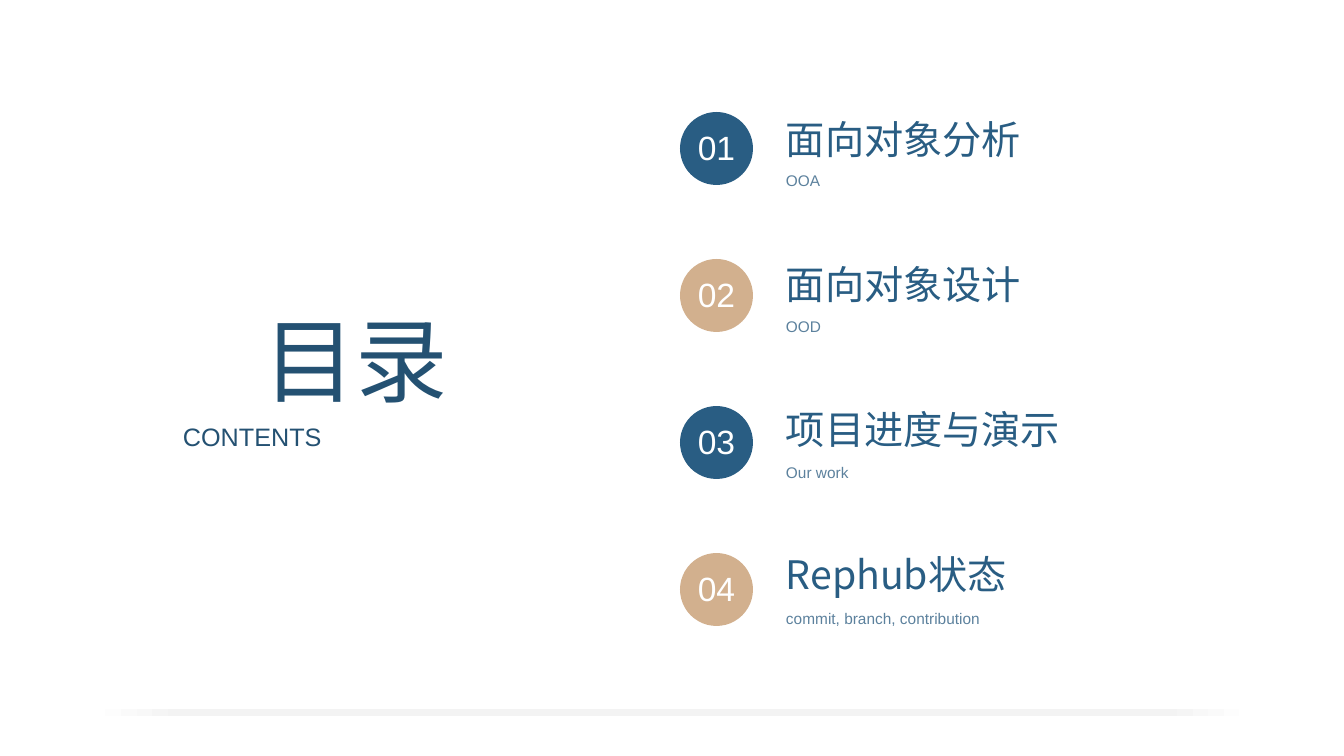
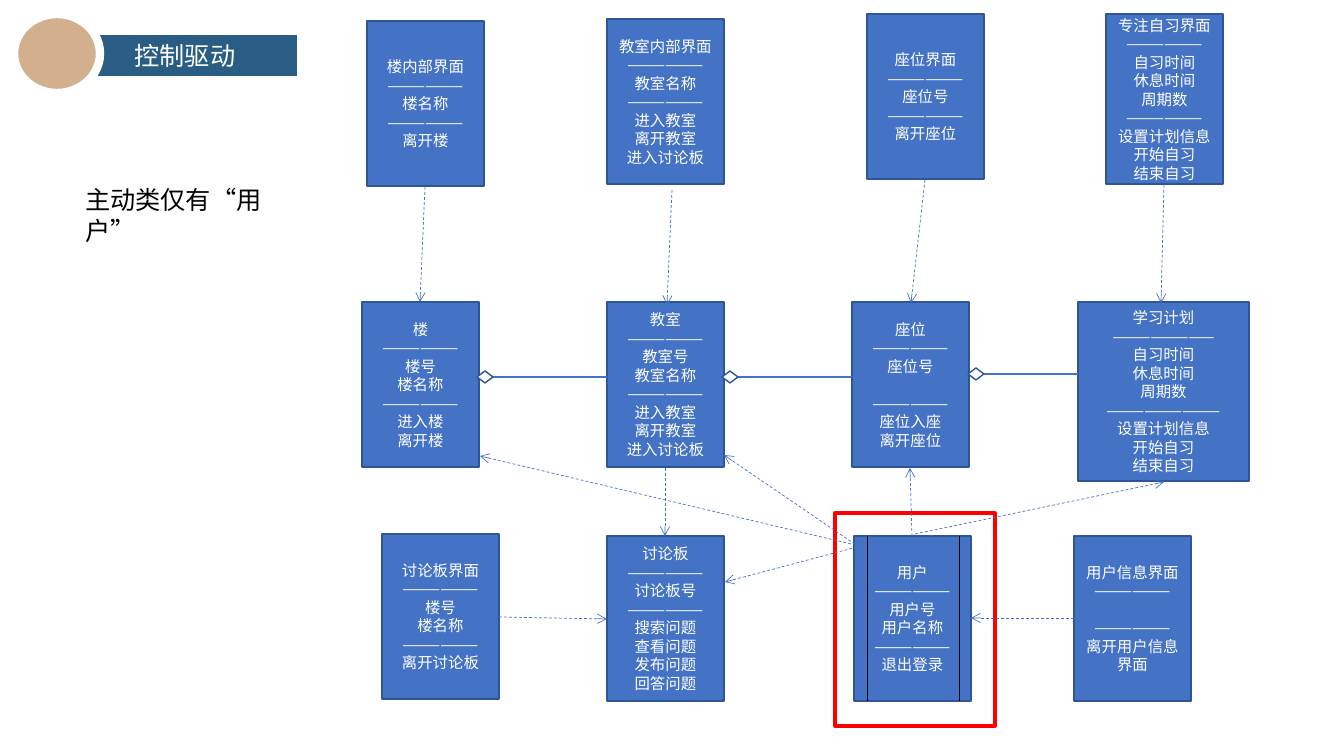
from lxml.etree import SubElement
from pptx import Presentation
from pptx.dml.color import RGBColor
from pptx.enum.dml import MSO_LINE
from pptx.enum.shapes import MSO_CONNECTOR, MSO_SHAPE
from pptx.enum.text import MSO_ANCHOR, MSO_AUTO_SIZE, PP_ALIGN
from pptx.oxml.ns import qn
from pptx.util import Emu, Pt

# Shared style
EMU_PER_PX = 914400 / 100.8
NAVY, DEEP, MUTED, SAND = "295D83", "245172", "5C819D", "D2B08E"
BLUE, EDGE, RED, BLACK, WHITE = "4472C4", "2F5597", "FF0000", "000000", "FFFFFF"
CHINESE, LATIN = "Noto Sans CJK SC", "Arial"
LEFT, CENTER = PP_ALIGN.LEFT, PP_ALIGN.CENTER
CLASS_LINE = Pt(13.2)


def px(length):
    return Emu(round(length * EMU_PER_PX))


def color(hex_text):
    return RGBColor.from_string(hex_text)


class SlideMaker:
    """Holds the deck, its style and the slide being drawn."""

    def __init__(self):
        self.deck = Presentation()
        self.deck.slide_width, self.deck.slide_height = px(1344), px(756)
        self.page = None

    def new_page(self, layout):
        self.page = self.deck.slides.add_slide(self.deck.slide_layouts[layout])

    def place(self, box, area):
        for name, value in zip(("left", "top", "width", "height"), area):
            setattr(box, name, px(value))

    def set_lines(self, box, lines, size, ink, font=CHINESE, anchor=MSO_ANCHOR.MIDDLE, **layout):
        """Set each line as a paragraph; an empty line becomes space before the next."""
        frame = box.text_frame
        settings = {"word_wrap": True, "auto_size": MSO_AUTO_SIZE.NONE, "vertical_anchor": anchor,
                    "margin_left": px(10), "margin_right": px(10),
                    "margin_top": px(5), "margin_bottom": px(5)}
        for name, value in settings.items():
            setattr(frame, name, value)
        para, gap = frame.paragraphs[0], 0
        for line in lines:
            if not line:
                gap += CLASS_LINE
                continue
            if para.runs:
                para = frame.add_paragraph()
            for name, value in {"alignment": LEFT, "space_before": Emu(gap), **layout}.items():
                setattr(para, name, value)
            gap = 0
            span = para.add_run()
            span.text = line
            for name, value in {"name": font, "size": Pt(size), "bold": False}.items():
                setattr(span.font, name, value)
            span.font.color.rgb = color(ink)
            SubElement(span.font._element, qn("a:ea")).set("typeface", font)

    def text(self, area, line, size, ink, font=CHINESE, **layout):
        box = self.page.shapes.add_textbox(*map(px, area))
        self.set_lines(box, [line], size, ink, font, **layout)

    def title(self, area, line, size, ink, fill=None):
        box = self.page.shapes.title
        self.place(box, area)
        if fill:
            box.fill.solid()
            box.fill.fore_color.rgb = color(fill)
        self.set_lines(box, [line], size, ink, alignment=CENTER)

    def body(self, area, lines, size, ink):
        box = self.page.placeholders[1]
        self.place(box, area)
        self.set_lines(box, lines, size, ink, anchor=MSO_ANCHOR.TOP, line_spacing=Pt(22))
        for para in box.text_frame.paragraphs:
            properties = para._p.get_or_add_pPr()
            properties.set("marL", "0")
            properties.set("indent", "0")
            SubElement(properties, qn("a:buNone"))

    def shape(self, kind, area, fill, line=None, weight=1):
        box = self.page.shapes.add_shape(kind, *map(px, area))
        box.shadow.inherit = False
        box.fill.solid()
        box.fill.fore_color.rgb = color(fill)
        if line:
            box.line.color.rgb = color(line)
            box.line.width = Pt(weight)
        else:
            box.line.fill.background()
        return box

    def soft_edge(self, area, tint):
        """Strip that fades to white at both ends."""
        box = self.shape(MSO_SHAPE.RECTANGLE, area, tint)
        box.fill.gradient()
        box.fill.gradient_angle = 0
        stops = box._element.spPr.find(qn("a:gradFill")).find(qn("a:gsLst"))
        for stop in list(stops):
            stops.remove(stop)
        for position, value in ((0, WHITE), (8, tint), (92, tint), (100, WHITE)):
            stop = SubElement(stops, qn("a:gs"), pos=str(position * 1000))
            SubElement(stop, qn("a:srgbClr"), val=value)

    def line(self, start, end, ink=BLUE, weight=1, arrow=False):
        link = self.page.shapes.add_connector(MSO_CONNECTOR.STRAIGHT, *map(px, start + end))
        link.line.color.rgb = color(ink)
        link.line.width = Pt(weight)
        if arrow:
            link.line.dash_style = MSO_LINE.DASH
            SubElement(link._element.spPr.find(qn("a:ln")), qn("a:tailEnd"), type="arrow")
        SubElement(link._element.spPr, qn("a:effectLst"))

    def class_box(self, left, top, sections, width=117, height=165, rules=(6, 6)):
        """Class diagram box; "|" starts a ruled section, "/" a new line."""
        name, *others = sections.split("|")
        lines = [name]
        for count, section in zip(rules, others):
            lines += ["—" * count, *section.split("/")]
        box = self.shape(MSO_SHAPE.RECTANGLE, (left, top, width, height), BLUE, EDGE)
        self.set_lines(box, lines, 11, WHITE, alignment=CENTER, line_spacing=CLASS_LINE)

    def aggregation(self, left, middle, right):
        self.line((left + 16, middle), (right, middle))
        self.shape(MSO_SHAPE.DIAMOND, (left, middle - 6, 16, 12), WHITE, EDGE)


def contents_page(maker):
    maker.new_page(5)
    maker.soft_edge((90, 709, 1165, 7), "F3F3F3")
    maker.title((159, 298, 393, 122), "目录", 66, DEEP)
    maker.text((173, 416, 366, 40), "CONTENTS", 18, DEEP, LATIN)

    # Numbered entries
    entries = [("面向对象分析", "OOA"), ("面向对象设计", "OOD"),
               ("项目进度与演示", "Our work"), ("Rephub状态", "commit, branch, contribution")]
    for index, (heading, detail) in enumerate(entries):
        circle_top = 112 + 147 * index
        maker.shape(MSO_SHAPE.OVAL, (680, circle_top, 73, 73), (NAVY, SAND)[index % 2])
        maker.text((679, circle_top + 10, 75, 50), f"{index + 1:02}", 24, WHITE, LATIN,
                   alignment=CENTER)
        maker.text((776, 112 + 145 * index, 379, 54), heading, 28, NAVY)
        maker.text((776, 163 + 146 * index, 505, 32), detail, 11, MUTED, LATIN, line_spacing=1.2)


def control_page(maker):
    maker.new_page(1)
    # Heading band and remark
    maker.title((73, 35, 224, 41), "控制驱动", 18, WHITE, NAVY)
    maker.shape(MSO_SHAPE.OVAL, (14, 14, 86, 79), SAND, WHITE, 6)
    maker.body((75, 179, 235, 70), ["主动类仅有“用户”"], 18, BLACK)

    # Highlight behind the active class
    maker.shape(MSO_SHAPE.RECTANGLE, (835, 513, 160, 213), WHITE, RED, 2.25)

    # Interface classes
    maker.class_box(367, 21, "楼内部界面|楼名称|离开楼")
    maker.class_box(607, 19, "教室内部界面|教室名称|进入教室/离开教室/进入讨论板")
    maker.class_box(867, 14, "座位界面|座位号|离开座位")
    maker.class_box(1106, 14, "专注自习界面|自习时间/休息时间/周期数|设置计划信息/开始自习/结束自习",
                    height=170)
    maker.class_box(382, 534, "讨论板界面|楼号/楼名称|离开讨论板")
    maker.class_box(1074, 536, "用户信息界面||离开用户信息界面")

    # Entity classes
    entities = ["楼|楼号/楼名称|进入楼/离开楼",
                "教室|教室号/教室名称|进入教室/离开教室/进入讨论板",
                "座位|座位号/|座位入座/离开座位"]
    for index, sections in enumerate(entities):
        maker.class_box(362 + 245 * index, 302, sections)
    maker.class_box(1078, 302, "学习计划|自习时间/休息时间/周期数|设置计划信息/开始自习/结束自习",
                    width=171, height=179, rules=(8, 9))
    maker.class_box(607, 536, "讨论板|讨论板号|搜索问题/查看问题/发布问题/回答问题")
    maker.class_box(854, 536, "用户|用户号/用户名称|退出登录")
    for side in (867, 959):
        maker.line((side, 536), (side, 701), BLACK, 0.5)

    # Aggregations
    for left, middle, right in ((477, 377, 607), (722, 377, 852), (968, 374, 1078)):
        maker.aggregation(left, middle, right)

    # Dependencies
    dependencies = [
        ((851, 544), (480, 456)), ((859, 547), (724, 455)), ((857, 547), (725, 582)),
        ((912, 536), (910, 468)), ((915, 534), (1164, 482)), ((665, 468), (665, 536)),
        ((425, 187), (420, 302)), ((672, 190), (667, 305)), ((925, 180), (911, 303)),
        ((1164, 185), (1161, 303)), ((499, 617), (607, 619)), ((1074, 618), (971, 618)),
    ]
    for start, end in dependencies:
        maker.line(start, end, weight=0.5, arrow=True)


def main():
    maker = SlideMaker()
    contents_page(maker)
    control_page(maker)
    maker.deck.save("out.pptx")


if __name__ == "__main__":
    main()
